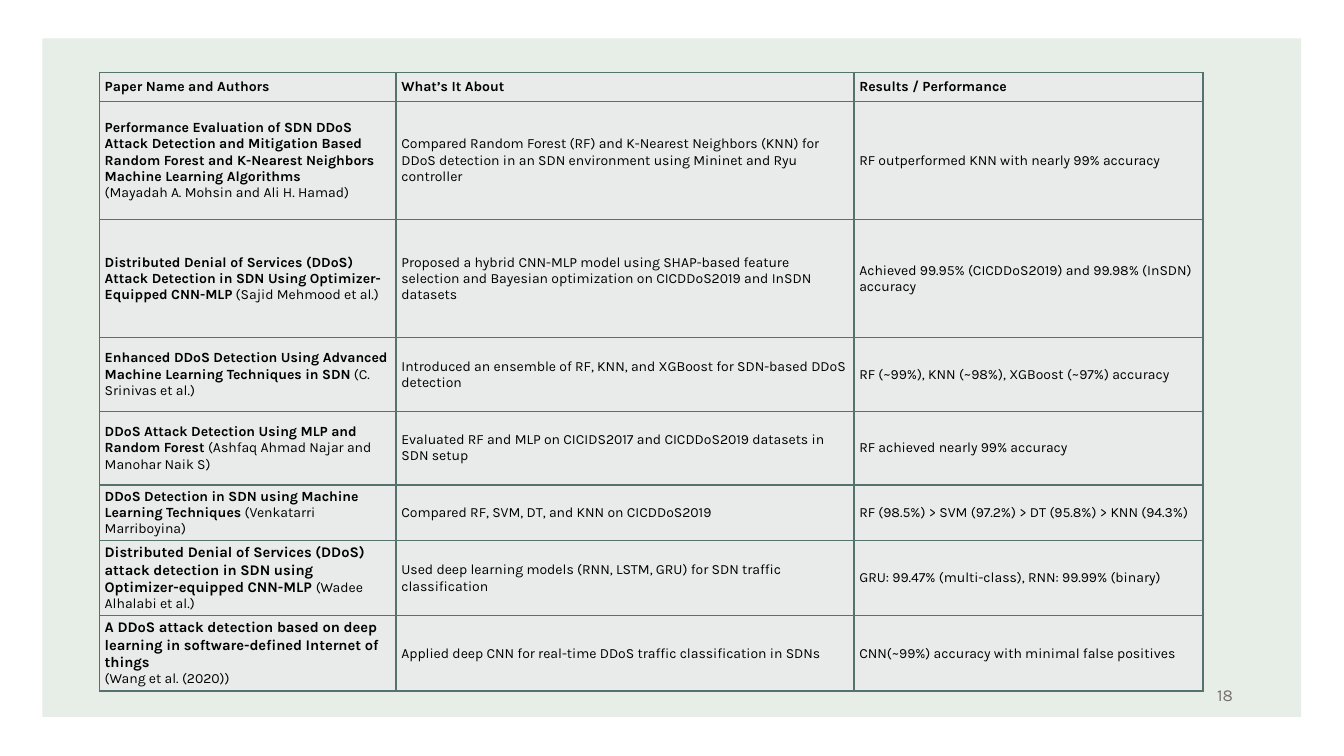
"""Build a slide with a table of papers on DDoS detection in SDN."""
from lxml.etree import fromstring
from pptx import Presentation
from pptx.dml.color import RGBColor as RGB
from pptx.enum.shapes import MSO_SHAPE as SHAPE
from pptx.enum.text import MSO_ANCHOR as ANCHOR, PP_ALIGN as ALIGN
from pptx.util import Pt

NS = "http://schemas.openxmlformats.org/drawingml/2006/main"
HEADS = ["Paper Name and Authors", "What’s It About", "Results / Performance"]
PAPERS = [
    ("Performance Evaluation of SDN DDoS Attack Detection and Mitigation Based Random Forest "
     "and K-Nearest Neighbors Machine Learning Algorithms\n",
     "(Mayadah A. Mohsin and Ali H. Hamad)", 10,
     "Compared Random Forest (RF) and K-Nearest Neighbors (KNN) for DDoS detection "
     "in an SDN environment using Mininet and Ryu controller",
     "RF outperformed KNN with nearly 99% accuracy"),
    ("Distributed Denial of Services (DDoS) Attack Detection in SDN Using "
     "Optimizer-Equipped CNN-MLP", " (Sajid Mehmood et al.)", 10,
     "Proposed a hybrid CNN-MLP model using SHAP-based feature selection and "
     "Bayesian optimization on CICDDoS2019 and InSDN datasets",
     "Achieved 99.95% (CICDDoS2019) and 99.98% (InSDN) accuracy"),
    ("Enhanced DDoS Detection Using Advanced Machine Learning Techniques in SDN",
     " (C. Srinivas et al.)", 10,
     "Introduced an ensemble of RF, KNN, and XGBoost for SDN-based DDoS detection",
     "RF (~99%), KNN (~98%), XGBoost (~97%) accuracy"),
    ("DDoS Attack Detection Using MLP and Random Forest ",
     "(Ashfaq Ahmad Najar and Manohar Naik S)", 10,
     "Evaluated RF and MLP on CICIDS2017 and CICDDoS2019 datasets in SDN setup",
     "RF achieved nearly 99% accuracy"),
    ("DDoS Detection in SDN using Machine Learning Techniques ",
     "(Venkatarri Marriboyina)", 10,
     "Compared RF, SVM, DT, and KNN on CICDDoS2019",
     "RF (98.5%) > SVM (97.2%) > DT (95.8%) > KNN (94.3%)"),
    ("Distributed Denial of Services (DDoS) attack detection in SDN using "
     "Optimizer-equipped CNN-MLP ", "(Wadee Alhalabi et al.)", 10.5,
     "Used deep learning models (RNN, LSTM, GRU) for SDN traffic classification",
     "GRU: 99.47% (multi-class), RNN: 99.99% (binary)"),
    ("A DDoS attack detection based on deep learning in software-defined "
     "Internet of things\n", "(Wang et al. (2020))", 10.5,
     "Applied deep CNN for real-time DDoS traffic classification in SDNs",
     "CNN(~99%) accuracy with minimal false positives"),
]
WIDTHS = [211.9, 327.1, 249.3]
HEIGHTS = [20.9, 84.4, 84.4, 52.6, 52.6, 36.7, 52.6, 45.4]
FORMAT = {"vertical_anchor": ANCHOR.MIDDLE, "margin_left": Pt(3.8), "margin_right": Pt(3.8),
          "margin_top": Pt(1.9), "margin_bottom": Pt(1.9)}


def paint(fill, color):
    fill.solid()
    fill.fore_color.rgb = RGB.from_string(color)


def write(par, text, size=10, bold=False, color="000000"):
    run = par.add_run()
    run.text = text
    for name, value in {"name": "Karla", "size": Pt(size), "bold": bold}.items():
        setattr(run.font, name, value)
    paint(run.font.fill, color)


deck = Presentation()
deck.slide_width, deck.slide_height = Pt(960), Pt(540)
slide = deck.slides.add_slide(deck.slide_layouts[6])

panel = slide.shapes.add_shape(SHAPE.RECTANGLE, Pt(30.2), Pt(27.4), Pt(899.3), Pt(484.6))
panel.shadow.inherit = False
panel.line.fill.background()
paint(panel.fill, "E7EEE8")

page = slide.shapes.add_textbox(Pt(671.8), Pt(481.7), Pt(216), Pt(28.8)).text_frame
page.word_wrap = True
page.vertical_anchor = ANCHOR.MIDDLE
page.paragraphs[0].alignment = ALIGN.RIGHT
write(page.paragraphs[0], "18", 12, color="767171")

table = slide.shapes.add_table(len(HEIGHTS), len(WIDTHS), Pt(71), Pt(51.6),
                               Pt(sum(WIDTHS)), Pt(sum(HEIGHTS))).table
table.first_row = table.horz_banding = False
for col, width in zip(table.columns, WIDTHS):
    col.width = Pt(width)
for row, height in zip(table.rows, HEIGHTS):
    row.height = Pt(height)

for cell in table.iter_cells():
    for name, value in FORMAT.items():
        setattr(cell, name, value)
    paint(cell.fill, "E9EBEB")
    for spot, side in enumerate("LRTB"):
        edge = fromstring(f'<a:ln{side} xmlns:a="{NS}" w="12700"><a:solidFill>'
                          f'<a:srgbClr val="55736D"/></a:solidFill></a:ln{side}>')
        cell._tc.get_or_add_tcPr().insert(spot, edge)

for col, head in enumerate(HEADS):
    write(table.cell(0, col).text_frame.paragraphs[0], head, bold=True)
for row, (title, names, size, about, result) in enumerate(PAPERS, 1):
    frame = table.cell(row, 0).text_frame
    write(frame.paragraphs[0], title.rstrip("\n"), size, True)
    par = frame.add_paragraph() if title.endswith("\n") else frame.paragraphs[0]
    write(par, names)
    for col, text in enumerate((about, result), 1):
        write(table.cell(row, col).text_frame.paragraphs[0], text)

deck.save("out.pptx")
